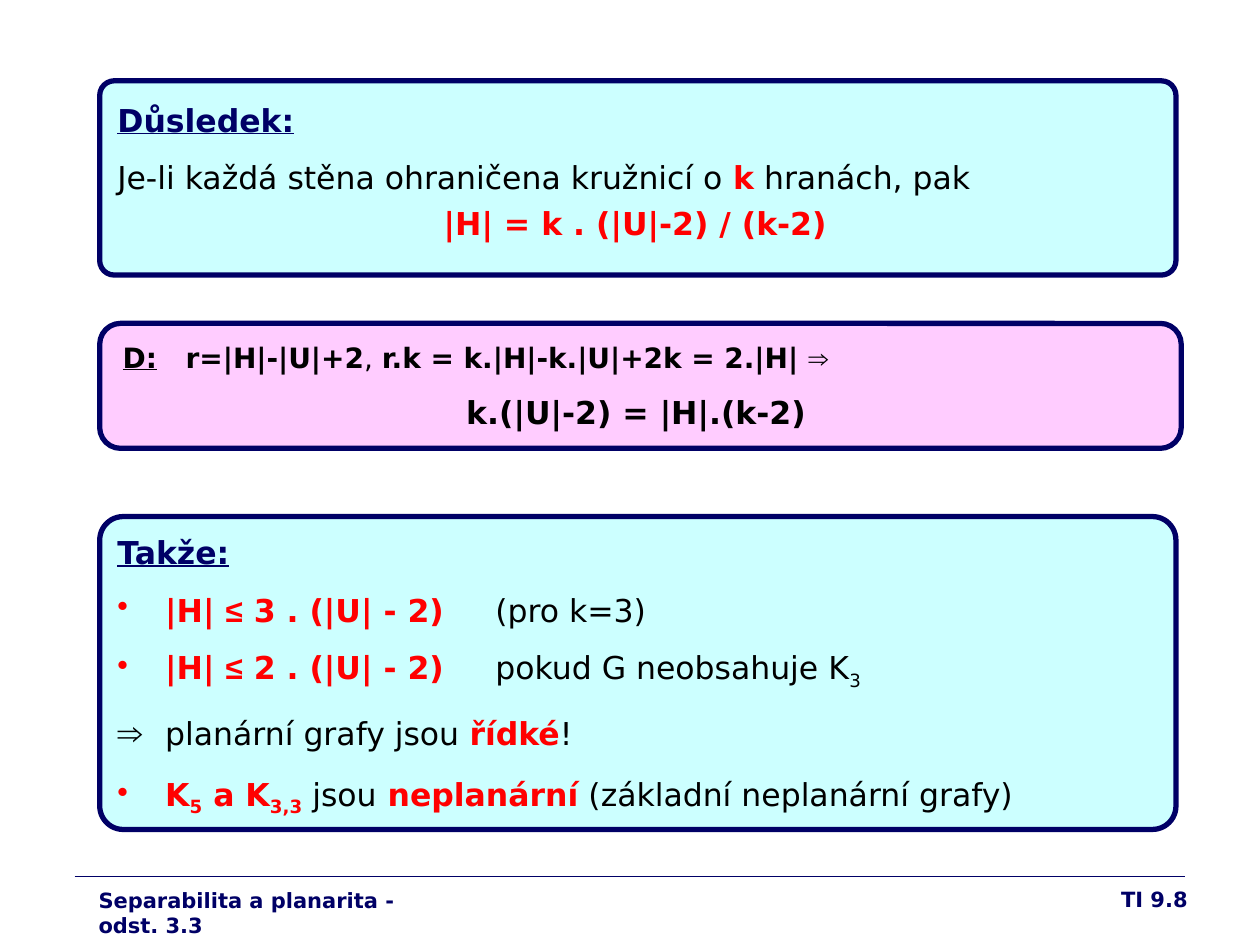
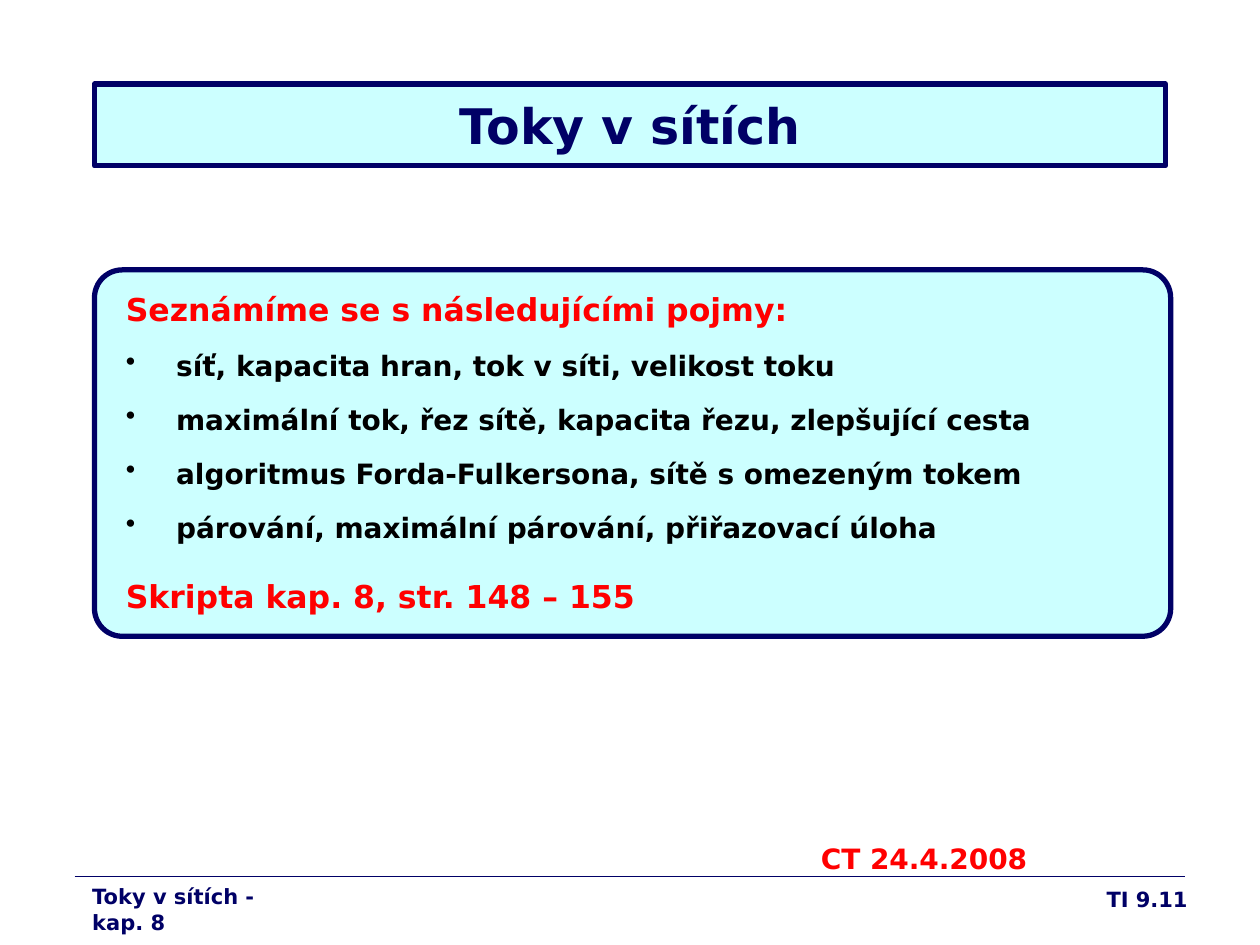
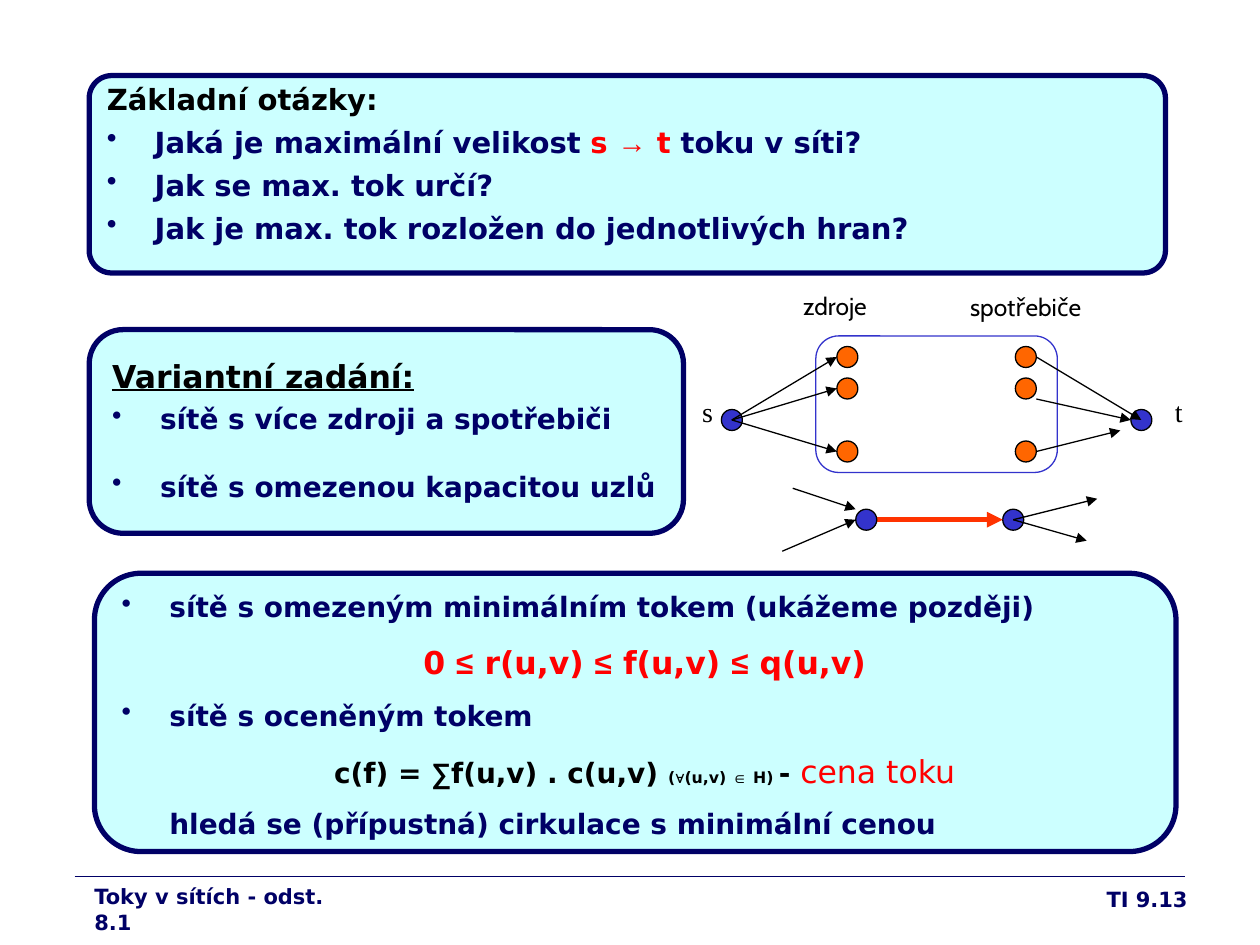
from lxml.etree import SubElement
from pptx import Presentation
from pptx.dml.color import RGBColor
from pptx.enum.shapes import MSO_CONNECTOR, MSO_SHAPE
from pptx.enum.text import MSO_ANCHOR, PP_ALIGN
from pptx.oxml.ns import qn
from pptx.util import Emu, Inches, Pt

COLORS = {
    "navy": "000066", "red": "FF0000", "black": "000000", "aqua": "CCFFFF",
    "pink": "FFCCFF", "blue": "3333CC", "orange": "FF6600", "flame": "FF3300",
}
WIDTH, HEIGHT = Inches(10), Inches(7.5)
COLS, ROWS = 120, 90
HANG = Inches(0.38)

BASE = {"name": "DejaVu Sans", "size": 18, "bold": True, "color": "black"}
NAVY = {"color": "navy"}
RED = {"color": "red"}
PLAIN = {"bold": False}
UNDER = {"underline": True}
ARIAL = {"name": "Arial"}
RED_ARIAL = {**RED, **ARIAL}
SUB = {"base": -25000}
SMALL = {"size": 9}
SMALL_ARIAL = {**SMALL, **ARIAL}


def rgb(name):
    return RGBColor.from_string(COLORS[name])


def col(n):
    return Emu(round(WIDTH * n / COLS))


def row(n):
    return Emu(round(HEIGHT * n / ROWS))


def place(x, y, w, h):
    return col(x), row(y), col(w), row(h)


def para(*runs, bullet=None, hang=0, align=PP_ALIGN.LEFT, tab=None, before=0, line=None, **font):
    return {"runs": runs, "bullet": bullet, "hang": hang, "align": align, "tab": tab,
            "before": before, "line": line, "font": font}


def item(*runs, **kw):
    return para(*runs, **{"bullet": "navy", "hang": HANG, "size": 16, "color": "navy", **kw})


def format_para(p, spec_):
    pPr = p._p.get_or_add_pPr()
    if spec_["hang"]:
        pPr.set("marL", str(int(spec_["hang"])))
        pPr.set("indent", str(-int(spec_["hang"])))
    if spec_["bullet"]:
        clr = SubElement(pPr, qn("a:buClr"))
        SubElement(clr, qn("a:srgbClr"), val=COLORS[spec_["bullet"]])
        SubElement(pPr, qn("a:buChar"), char="•")
    else:
        SubElement(pPr, qn("a:buNone"))
    if spec_["tab"]:
        tabs = SubElement(pPr, qn("a:tabLst"))
        SubElement(tabs, qn("a:tab"), pos=str(int(spec_["tab"])), algn="l")
    p.alignment = spec_["align"]
    p.space_before = Pt(spec_["before"])
    if spec_["line"]:
        p.line_spacing = spec_["line"]


def add_run(p, text, style):
    r = p.add_run()
    r.text = text
    values = dict(style)
    r.font.color.rgb = rgb(values.pop("color"))
    base = values.pop("base", None)
    values["size"] = Pt(values["size"])
    for key, value in values.items():
        setattr(r.font, key, value)
    if base:
        r._r.get_or_add_rPr().set("baseline", str(base))


def write(tf, paras):
    tf.word_wrap = True
    for i, spec_ in enumerate(paras):
        p = tf.paragraphs[0] if i == 0 else tf.add_paragraph()
        format_para(p, spec_)
        for run in spec_["runs"]:
            text, style = (run, {}) if isinstance(run, str) else run
            add_run(p, text, {**BASE, **spec_["font"], **style})


def add_text(shapes, box, *paras):
    write(shapes.add_textbox(*place(*box)).text_frame, paras)


def add_box(shapes, kind, box, fill, line, width):
    sp = shapes.add_shape(kind, *place(*box))
    sp.shadow.inherit = False
    if fill:
        sp.fill.solid()
        sp.fill.fore_color.rgb = rgb(fill)
    else:
        sp.fill.background()
    sp.line.color.rgb = rgb(line)
    sp.line.width = Pt(width)
    return sp


def add_line(shapes, start, end, color="black", width=0.75, arrow=True):
    c = shapes.add_connector(MSO_CONNECTOR.STRAIGHT, col(start[0]), row(start[1]),
                             col(end[0]), row(end[1]))
    c.line.color.rgb = rgb(color)
    c.line.width = Pt(width)
    if arrow:
        SubElement(c.line._get_or_add_ln(), qn("a:tailEnd"), type="triangle")
    SubElement(c._element.spPr, qn("a:effectLst"))


def add_node(shapes, x, y, fill):
    add_box(shapes, MSO_SHAPE.OVAL, (x - 1, y - 1, 2, 2), fill, "black", 0.75)


def add_card(s, box, corner, pad, *paras, fill="aqua"):
    x, y, w, h = box
    dx, dy, dw = pad
    sp = add_box(s.shapes, MSO_SHAPE.ROUNDED_RECTANGLE, box, fill, "navy", 3)
    sp.adjustments[0] = corner
    add_text(s.shapes, (x + dx, y + dy, w - dw, h - 2 * dy), *paras)


def add_title(s, box, text):
    sp = add_box(s.shapes, MSO_SHAPE.RECTANGLE, box, "aqua", "navy", 3)
    sp.text_frame.vertical_anchor = MSO_ANCHOR.MIDDLE
    write(sp.text_frame, [para(text, align=PP_ALIGN.CENTER, size=28, color="navy")])


def add_footer(s, topic, box, number):
    add_line(s.shapes, (7.1, 83.5), (112.9, 83.5), "navy", arrow=False)
    add_text(s.shapes, box, para(topic, size=12, color="navy"))
    add_text(s.shapes, (89.3, 83.8, 25, 4.3),
             para(f"TI {number}", align=PP_ALIGN.RIGHT, size=12, color="navy"))


def add_terminals(s, x, y):
    shapes = s.shapes.add_group_shape().shapes
    levels = (4, 7, 13)
    add_box(shapes, MSO_SHAPE.FLOWCHART_ALTERNATE_PROCESS, (x + 8, y + 2, 23, 13),
            None, "blue", 0.75)
    for dx in (0, 39):
        add_node(shapes, x + dx, y + 10, "blue")
    for level in levels:
        add_line(shapes, (x, y + 10), (x + 10, y + level))
    for start, end in (((29, 4), (39, 10)), ((29, 8), (38, 10)), ((29, 13), (37, 11))):
        add_line(shapes, (x + start[0], y + start[1]), (x + end[0], y + end[1]))
    for dx in (11, 28):
        for level in levels:
            add_node(shapes, x + dx, y + level, "orange")
    for text, dx, dy, w, name, size in (
            ("zdroje", 5.6, -2.9, 9.3, "Cabin", 14),
            ("spotřebiče", 21.5, -2.8, 14, "Cabin", 14),
            ("s", -4, 7, 3.4, "Times New Roman", 16),
            ("t", 41, 7, 3.2, "Times New Roman", 16)):
        add_text(shapes, (x + dx, y + dy, w, 4.3),
                 para(text, name=name, size=size, bold=False))


def add_limited_vertex(s, x, y):
    shapes = s.shapes.add_group_shape().shapes
    add_node(shapes, x + 14, y, "blue")
    add_line(shapes, (x, y), (x + 13, y), "flame", 3)
    for start, end in (((-7, -3), (-1, -1)), ((-8, 3), (-1, 0)),
                       ((14, 0), (22, -2)), ((14, 0), (21, 2))):
        add_line(shapes, (x + start[0], y + start[1]), (x + end[0], y + end[1]))
    add_node(shapes, x, y, "blue")


def planarity_slide(s):
    add_card(s, (9.5, 7.7, 102.5, 18.5), 0.075, (0.5, 1.3, 1.5),
             para("Důsledek:", color="navy", underline=True),
             para("Je-li každá stěna ohraničena kružnicí o ", ("k", {**RED, "bold": True}),
                  " hranách, pak", before=11.2, bold=False),
             para("|H| = k . (|U|-2) / (k-2)", align=PP_ALIGN.CENTER, before=4.5, color="red"))
    add_card(s, (9.5, 30.8, 103, 11.9), 0.167, (1, 1, 1.8),
             para(("D:", UNDER), "\tr=|H|-|U|+2", (", ", PLAIN),
                  "r.k = k.|H|-k.|U|+2k = 2.|H| ", ("⇒", ARIAL), tab=Inches(0.5), size=16),
             para("k.(|U|-2) = |H|.(k-2) ", align=PP_ALIGN.CENTER, before=11.2),
             fill="pink")
    bounds = [item("|H| ", ("≤", ARIAL), f" {factor} . (|U| - 2)\t", *note, bullet="red",
                   tab=Inches(3), before=11.2, size=18, color="red")
              for factor, note in (
                  (3, [("(pro k=3)", {"color": "black", **PLAIN})]),
                  (2, [("pokud G neobsahuje K", {"color": "black", **PLAIN}),
                       ("3", {"color": "black", **PLAIN, **SUB})]))]
    add_card(s, (9.5, 49.2, 102.5, 29.8), 0.075, (0.5, 1, 1.5),
             para("Takže:", color="navy", underline=True),
             *bounds,
             para(("⇒", {**ARIAL, "size": 20, "bold": True}), "\tplanární grafy jsou ",
                  ("řídké", {**RED, "bold": True}), "!", hang=HANG, before=11.2, bold=False),
             item("K", ("5", SUB), " a K", ("3,3", SUB),
                  (" jsou", {"color": "black", **PLAIN}), " neplanární",
                  (" (základní neplanární grafy)", {"color": "black", **PLAIN}),
                  bullet="red", before=12.5, size=18, color="red"))
    add_footer(s, "Separabilita a planarita - odst. 3.3", (8.2, 83.9, 35.9, 3.6), "9.8")


def flows_intro_slide(s):
    add_title(s, (9, 8, 102, 7.8), "Toky v sítích")
    topics = ("síť, kapacita hran, tok v síti, velikost toku",
              "maximální tok, řez sítě, kapacita řezu, zlepšující cesta",
              "algoritmus Forda-Fulkersona, sítě s omezeným tokem",
              "párování, maximální párování, přiřazovací úloha")
    add_card(s, (9, 25.7, 102.5, 34.9), 0.076, (1.8, 1.3, 2.3),
             para("Seznámíme se s následujícími pojmy:", color="red"),
             *[item(topic, bullet="black", color="black", hang=Inches(0.4), before=6, line=1.3)
               for topic in topics],
             para("Skripta kap. 8, str. 148 – 155", color="red", before=10.1, line=1.4))
    add_text(s.shapes, (77, 79.6, 29.3, 4.4), para("CT 24.4.2008", size=16, color="red"))
    add_footer(s, "Toky v sítích - kap. 8", (7.6, 83.6, 22.3, 3.6), "9.11")


def flow_questions_slide(s):
    question = {"size": 16.6, "before": 4.5}
    add_card(s, (8.5, 7.2, 102.5, 18.8), 0.114, (0.5, 0, 0.5),
             para("Základní otázky:", size=16.6),
             item("Jaká je maximální velikost ", ("s ", RED), ("→", RED_ARIAL), (" t", RED),
                  " toku v síti?", **question),
             item("Jak se max. tok určí?", **question),
             item("Jak je max. tok rozložen do jednotlivých hran?", **question))
    add_card(s, (8.5, 31.4, 56.6, 19.4), 0.167, (1, 1.3, 0.3),
             para("Variantní zadání:", underline=True, line=1.2),
             item("sítě s více zdroji a spotřebiči", before=4),
             item("sítě s omezenou kapacitou uzlů", before=19.5))
    add_terminals(s, 69.7, 30)
    add_limited_vertex(s, 82.5, 49.5)
    formula = {"align": PP_ALIGN.CENTER, "before": 11.2}
    bound = [part for term in (" r(u,v) ", " f(u,v) ", " q(u,v)")
             for part in (("≤", ARIAL), term)]
    add_card(s, (9, 54.6, 103, 26.5), 0.167, (1.4, 1, 1),
             item("sítě s omezeným minimálním tokem (ukážeme později)"),
             para("0 ", *bound, color="red", **formula),
             item("sítě s oceněným tokem", before=10),
             para(("c(f) = ", {"size": 16}), ("∑", {**ARIAL, "size": 16}),
                  ("f(u,v) . c(u,v) ", {"size": 16}), ("(", SMALL), ("∀", SMALL_ARIAL),
                  ("(u,v) ", SMALL), ("∈", SMALL_ARIAL), (" H) ", SMALL),
                  ("- ", {"size": 16}), ("cena toku", {**RED, **PLAIN}), **formula),
             para("\thledá se (přípustná) cirkulace s minimální cenou", hang=HANG,
                  before=10, size=16, color="navy"))
    add_footer(s, "Toky v sítích - odst. 8.1", (7.8, 83.6, 24.7, 3.6), "9.13")


def main():
    prs = Presentation()
    prs.slide_width, prs.slide_height = WIDTH, HEIGHT
    for build in (planarity_slide, flows_intro_slide, flow_questions_slide):
        build(prs.slides.add_slide(prs.slide_layouts[6]))
    prs.save("out.pptx")


if __name__ == "__main__":
    main()
